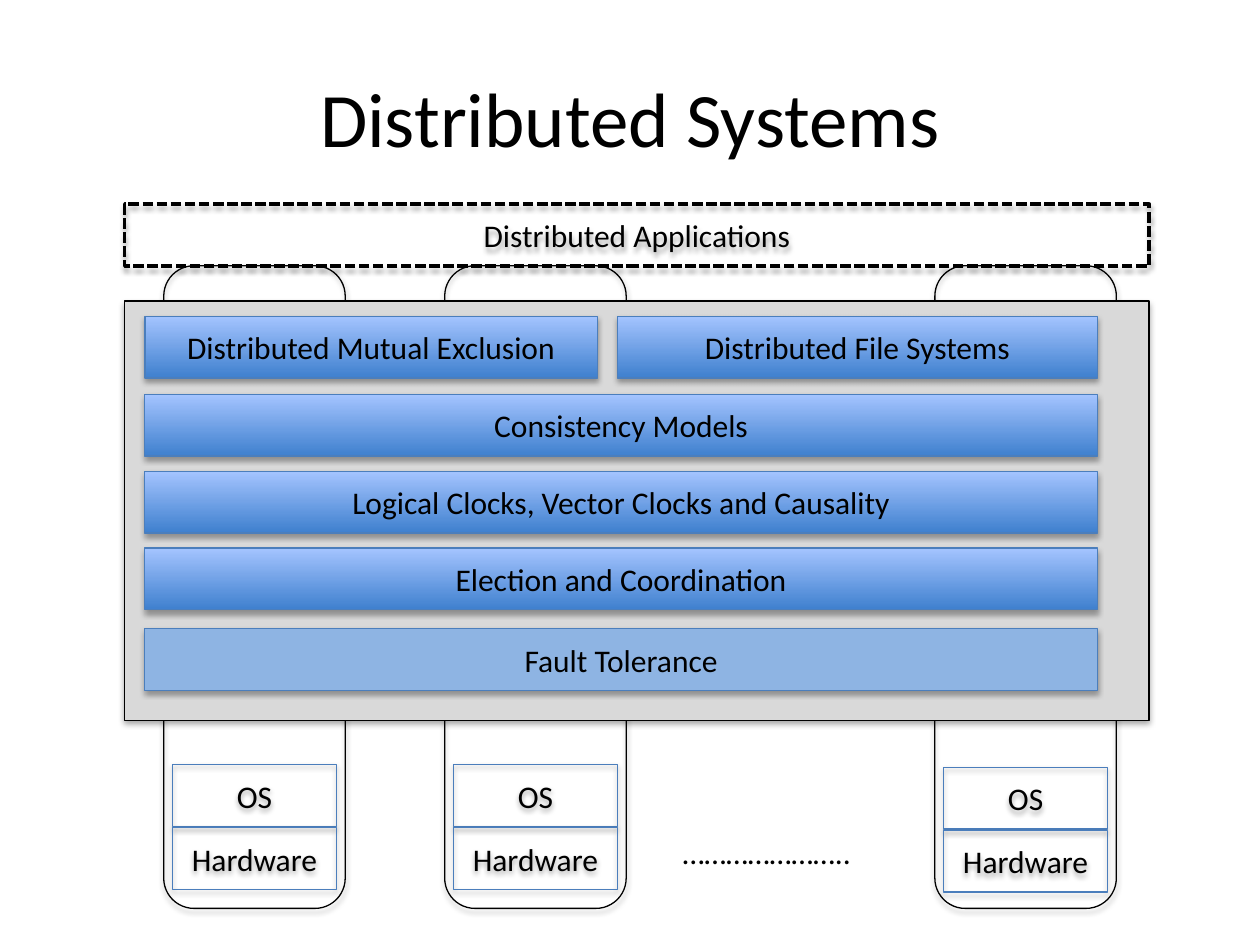
from dataclasses import dataclass

from lxml.etree import SubElement
from pptx import Presentation
from pptx.dml.color import RGBColor
from pptx.enum.dml import MSO_LINE_DASH_STYLE as Dash
from pptx.enum.shapes import MSO_SHAPE as Shape
from pptx.enum.text import MSO_ANCHOR as Anchor, MSO_AUTO_SIZE as AutoSize, PP_ALIGN as Align
from pptx.oxml.ns import qn
from pptx.util import Inches, Pt

FONT = "Calibri"
BOX_HEIGHT = 0.49
COLORS = {
    "black": "000000",
    "panel": "D9D9D9",
    "edge": "4B7EBC",
    "flat": "8EB4E3",
    "deep": "3F80CE",
    "light": "A4C4FF",
}


@dataclass
class Box:
    left: float
    top: float
    width: float
    height: float = BOX_HEIGHT
    text: str = ""
    fill: str = ""  # a colour name, "gradient", or empty for none
    line: str = "edge"
    line_width: float = 0.75
    dashed: bool = False
    rounded: bool = False


def color(name: str) -> RGBColor:
    return RGBColor.from_string(COLORS[name])


def add_text(frame, text: str, size: float, align: Align) -> None:
    para = frame.paragraphs[0]
    para.alignment = align
    span = para.add_run()
    span.text = text
    span.font.name = FONT
    span.font.size = Pt(size)
    span.font.color.rgb = color("black")


def add_shadow(shape) -> None:
    shape.shadow.inherit = False
    effects = shape._element.spPr.find(qn("a:effectLst"))
    shadow = SubElement(effects, qn("a:outerShdw"), blurRad="40000", dist="23000",
                        dir="5400000", rotWithShape="0")
    tone = SubElement(shadow, qn("a:srgbClr"), val=COLORS["black"])
    SubElement(tone, qn("a:alpha"), val="35000")


def paint(fill, name: str) -> None:
    if not name:
        fill.background()
    elif name == "gradient":
        fill.gradient()
        fill.gradient_angle = 90
        for stop, tone in zip(fill.gradient_stops, ("deep", "light")):
            stop.color.rgb = color(tone)
    else:
        fill.solid()
        fill.fore_color.rgb = color(name)


def add_box(page, box: Box) -> None:
    kind = Shape.ROUNDED_RECTANGLE if box.rounded else Shape.RECTANGLE
    shape = page.shapes.add_shape(kind, Inches(box.left), Inches(box.top),
                                  Inches(box.width), Inches(box.height))
    paint(shape.fill, box.fill)
    shape.line.color.rgb = color(box.line)
    shape.line.width = Pt(box.line_width)
    if box.dashed:
        shape.line.dash_style = Dash.SQUARE_DOT
    add_shadow(shape)
    if box.text:
        frame = shape.text_frame
        frame.word_wrap = True
        frame.vertical_anchor = Anchor.MIDDLE
        add_text(frame, box.text, 18, Align.CENTER)


def add_title(page, text: str) -> None:
    title = page.shapes.title
    title.left, title.top = Inches(0.5), Inches(0.3)
    title.width, title.height = Inches(9), Inches(1.25)
    title.text_frame.vertical_anchor = Anchor.MIDDLE
    add_text(title.text_frame, text, 44, Align.CENTER)


def add_ellipsis(page) -> None:
    label = page.shapes.add_textbox(Inches(5.32), Inches(6.56), Inches(1.55), Inches(0.4))
    frame = label.text_frame
    frame.word_wrap = False
    frame.auto_size = AutoSize.SHAPE_TO_FIT_TEXT
    add_text(frame, "…………………..", 18, Align.LEFT)


def main() -> None:
    deck = Presentation()
    deck.slide_width, deck.slide_height = Inches(10), Inches(7.5)
    page = deck.slides.add_slide(deck.slide_layouts[5])
    add_title(page, "Distributed Systems")

    # Machines: left edge of each column and top of its stack
    machines = [(1.3, 6.07), (3.53, 6.07), (7.42, 6.09)]
    for left, _ in machines:
        add_box(page, Box(left, 2.11, 1.44, 5.1, line="black", rounded=True))

    # Applications and the middleware panel
    add_box(page, Box(0.99, 1.62, 8.13, text="Distributed Applications",
                      line="black", line_width=2, dashed=True))
    add_box(page, Box(0.99, 2.39, 8.13, 3.33, fill="panel", line="black"))

    # Middleware layers
    add_box(page, Box(1.15, 2.51, 3.59, text="Distributed Mutual Exclusion", fill="gradient"))
    add_box(page, Box(4.9, 2.51, 3.81, text="Distributed File Systems", fill="gradient"))
    layers = ["Consistency Models", "Logical Clocks, Vector Clocks and Causality",
              "Election and Coordination"]
    for row, text in enumerate(layers):
        add_box(page, Box(1.15, 3.13 + 0.61 * row, 7.56, text=text, fill="gradient"))
    add_box(page, Box(1.15, 4.99, 7.56, text="Fault Tolerance", fill="flat"))

    # Operating system and hardware in each machine
    for left, top in machines:
        for row, text in enumerate(("OS", "Hardware")):
            add_box(page, Box(left + 0.07, top + 0.5 * row, 1.3, text=text))
    add_ellipsis(page)

    deck.save("out.pptx")


if __name__ == "__main__":
    main()
